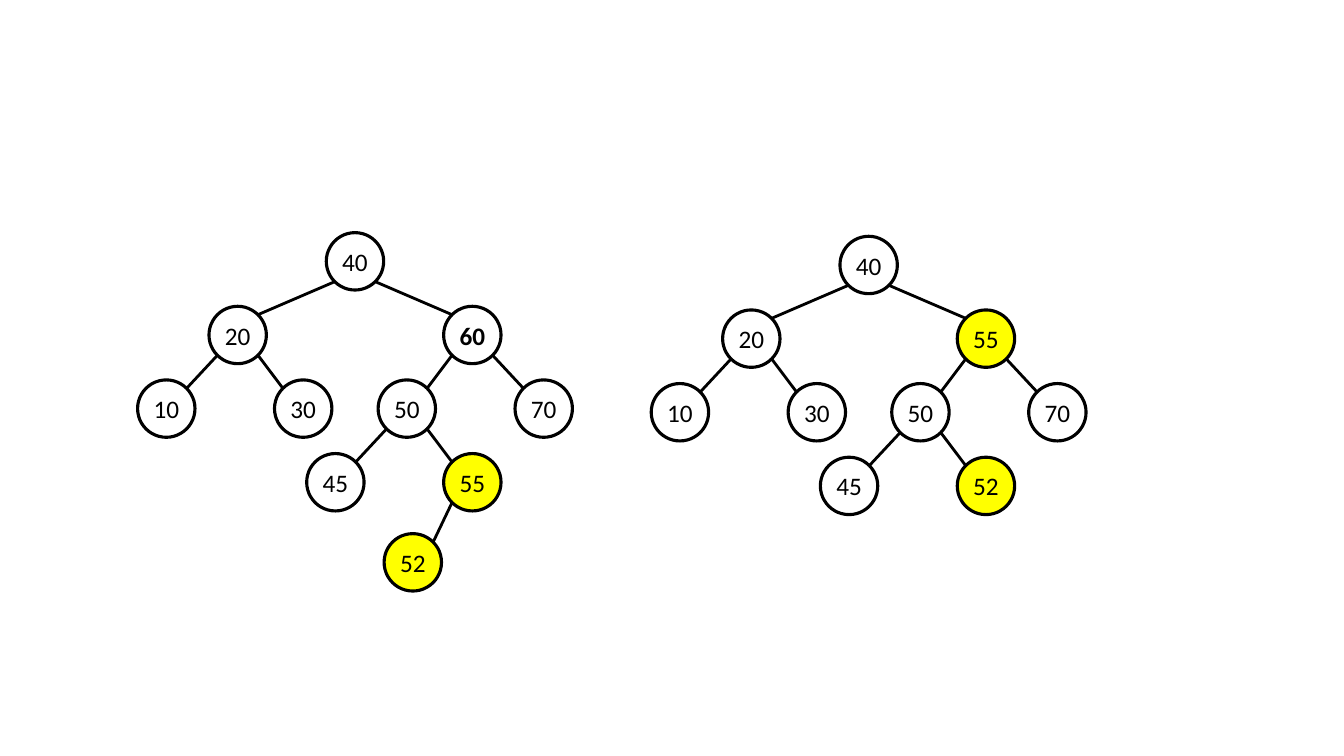
from dataclasses import dataclass

from lxml import etree
from pptx import Presentation
from pptx.dml.color import RGBColor
from pptx.enum import shapes, text
from pptx.oxml import ns
from pptx.util import Pt

DIAMETER = 41
NEAR, FAR = 0.146 * DIAMETER, 0.854 * DIAMETER  # where diagonals meet a circle
ROW = 52.6
BLACK, WHITE, YELLOW = "000000", "FFFFFF", "FFFF00"


@dataclass(frozen=True)
class Node:
    key: str
    parent: str = ""
    dx: float = 0
    dy: float = ROW
    fill: str = WHITE
    bold: bool = False


@dataclass(frozen=True)
class Tree:
    left: float
    top: float
    nodes: list[Node]


def search_tree(right_child: Node, inner_leaf: Node) -> list[Node]:
    """Nodes shared by both trees, around the two that change."""
    return [
        Node("40", dy=0),
        Node("20", "40", -83.8),
        right_child,
        Node("10", "20", -51),
        Node("30", "20", 46.8),
        Node("50", right_child.key, -46.8),
        Node("70", right_child.key, 51),
        Node("45", "50", -51),
        inner_leaf,
    ]


TREES = [
    Tree(233.1, 166.2, search_tree(
        Node("60", "40", 83.8, bold=True),
        Node("55", "50", 46.8, fill=YELLOW),
    ) + [Node("52", "55", -42.5, 57.2, YELLOW)]),
    Tree(600, 168.8, search_tree(
        Node("55", "40", 83.8, fill=YELLOW),
        Node("52", "50", 46.8, fill=YELLOW),
    )),
]


def rgb(value: str) -> RGBColor:
    return RGBColor.from_string(value)


def draw_node(slide, node: Node, left: float, top: float) -> None:
    circle = slide.shapes.add_shape(
        shapes.MSO_SHAPE.OVAL, Pt(left), Pt(top), Pt(DIAMETER), Pt(DIAMETER))
    circle.shadow.inherit = False
    circle.fill.solid()
    circle.fill.fore_color.rgb = rgb(node.fill)
    circle.line.color.rgb = rgb(BLACK)
    circle.line.width = Pt(2.25)
    frame = circle.text_frame
    frame.margin_left = frame.margin_right = 0
    frame.margin_top = frame.margin_bottom = 0
    frame.vertical_anchor = text.MSO_ANCHOR.MIDDLE
    frame.text = node.key
    label = frame.paragraphs[0]
    label.alignment = text.PP_ALIGN.CENTER
    font = label.runs[0].font
    font.name, font.size, font.bold = "Calibri", Pt(18), node.bold
    font.color.rgb = rgb(BLACK)


def draw_edge(slide, start: tuple[float, float], end: tuple[float, float]) -> None:
    """Join the lower diagonal of a parent to the upper diagonal of its child."""
    goes_left = end[0] < start[0]
    start_x, end_x = (NEAR, FAR) if goes_left else (FAR, NEAR)
    edge = slide.shapes.add_connector(
        shapes.MSO_CONNECTOR.STRAIGHT,
        Pt(start[0] + start_x), Pt(start[1] + FAR),
        Pt(end[0] + end_x), Pt(end[1] + NEAR))
    edge.line.color.rgb = rgb(BLACK)
    edge.line.width = Pt(2)
    etree.SubElement(edge._element.spPr, ns.qn("a:effectLst"))


def draw_tree(slide, tree: Tree) -> None:
    places = {"": (tree.left, tree.top)}
    for node in tree.nodes:
        parent_place = places[node.parent]
        place = parent_place[0] + node.dx, parent_place[1] + node.dy
        places[node.key] = place
        draw_node(slide, node, *place)
        if node.parent:
            draw_edge(slide, parent_place, place)


def main() -> None:
    deck = Presentation()
    deck.slide_width, deck.slide_height = Pt(960), Pt(540)
    slide = deck.slides.add_slide(deck.slide_layouts[6])
    for tree in TREES:
        draw_tree(slide, tree)
    deck.save("out.pptx")


if __name__ == "__main__":
    main()
